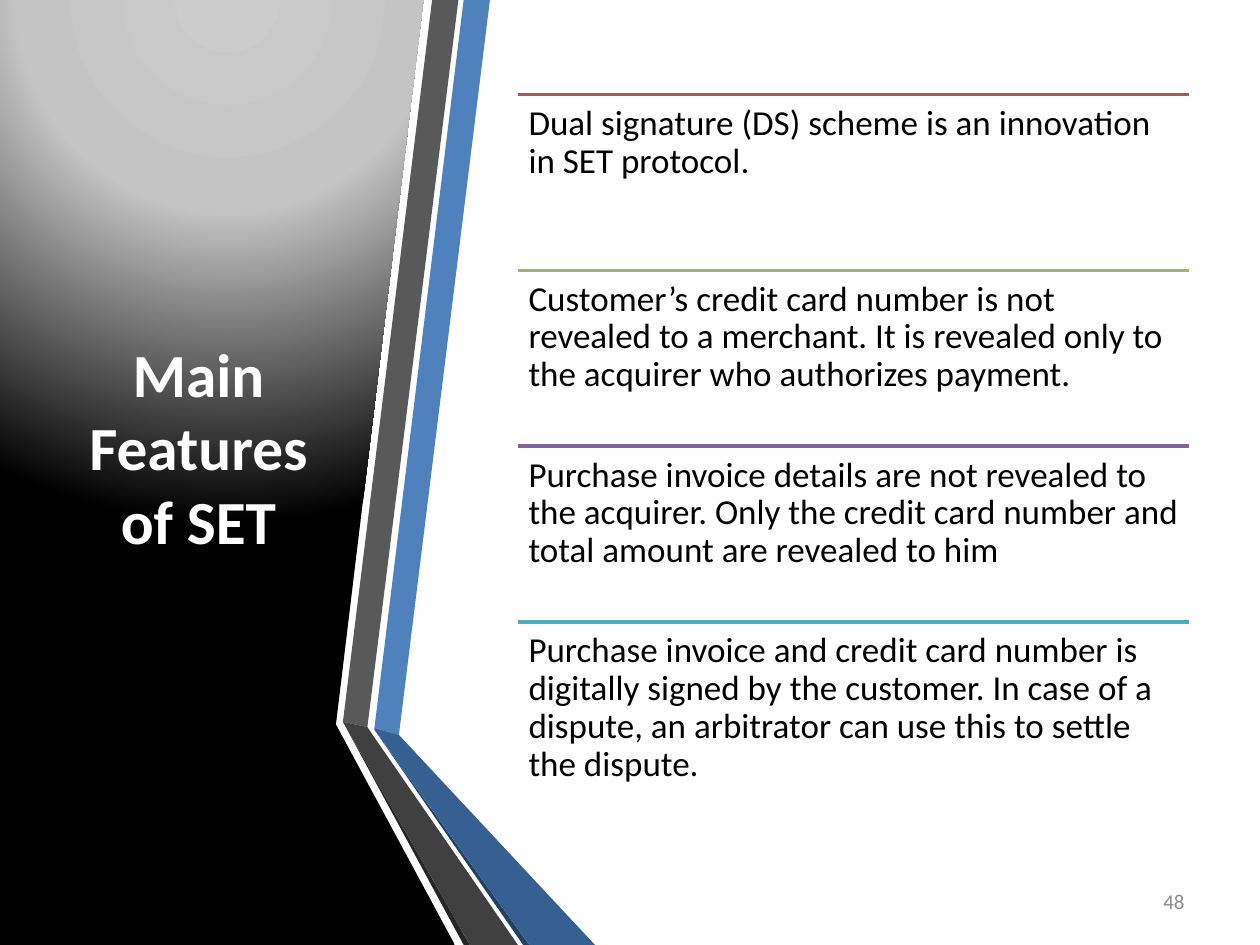
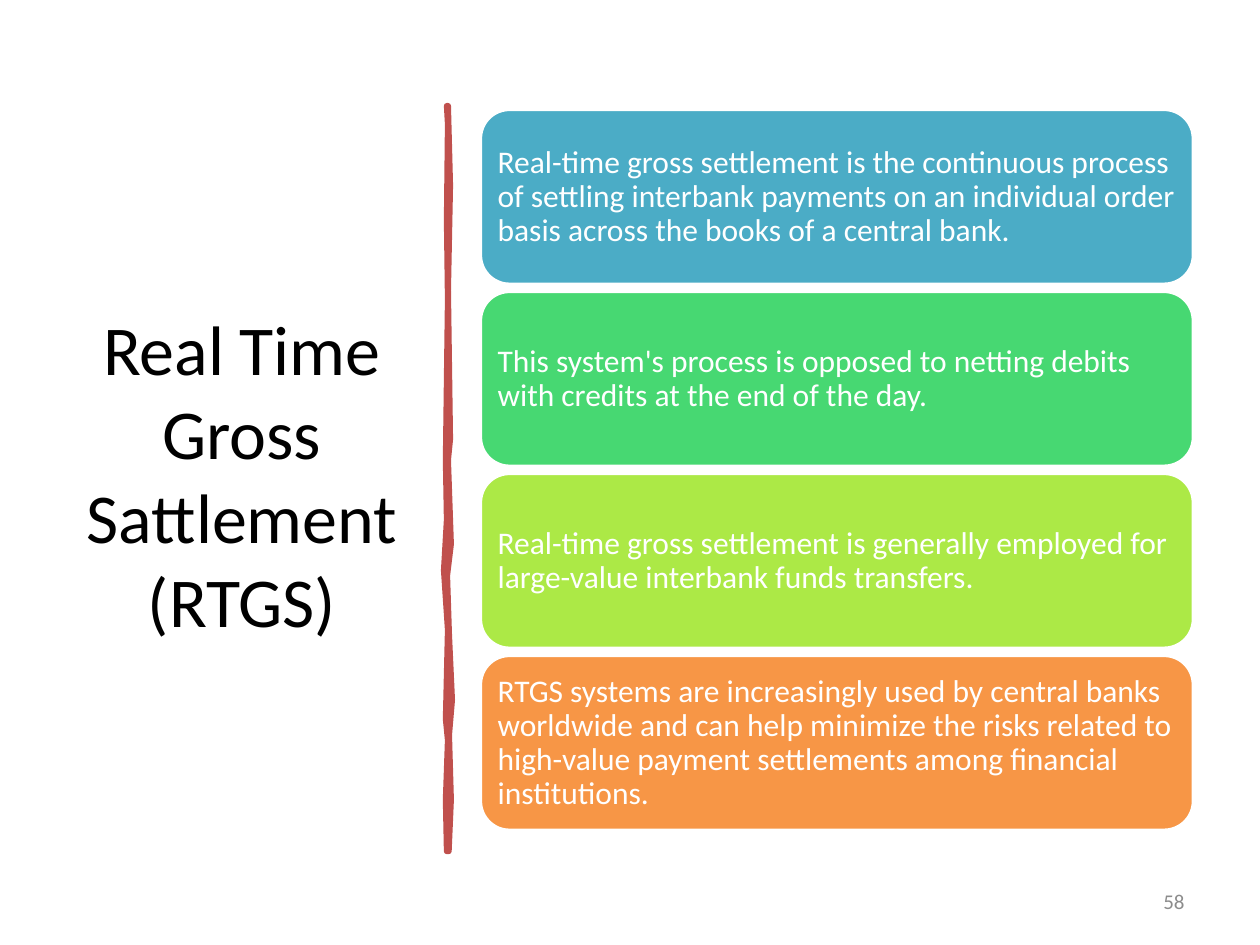
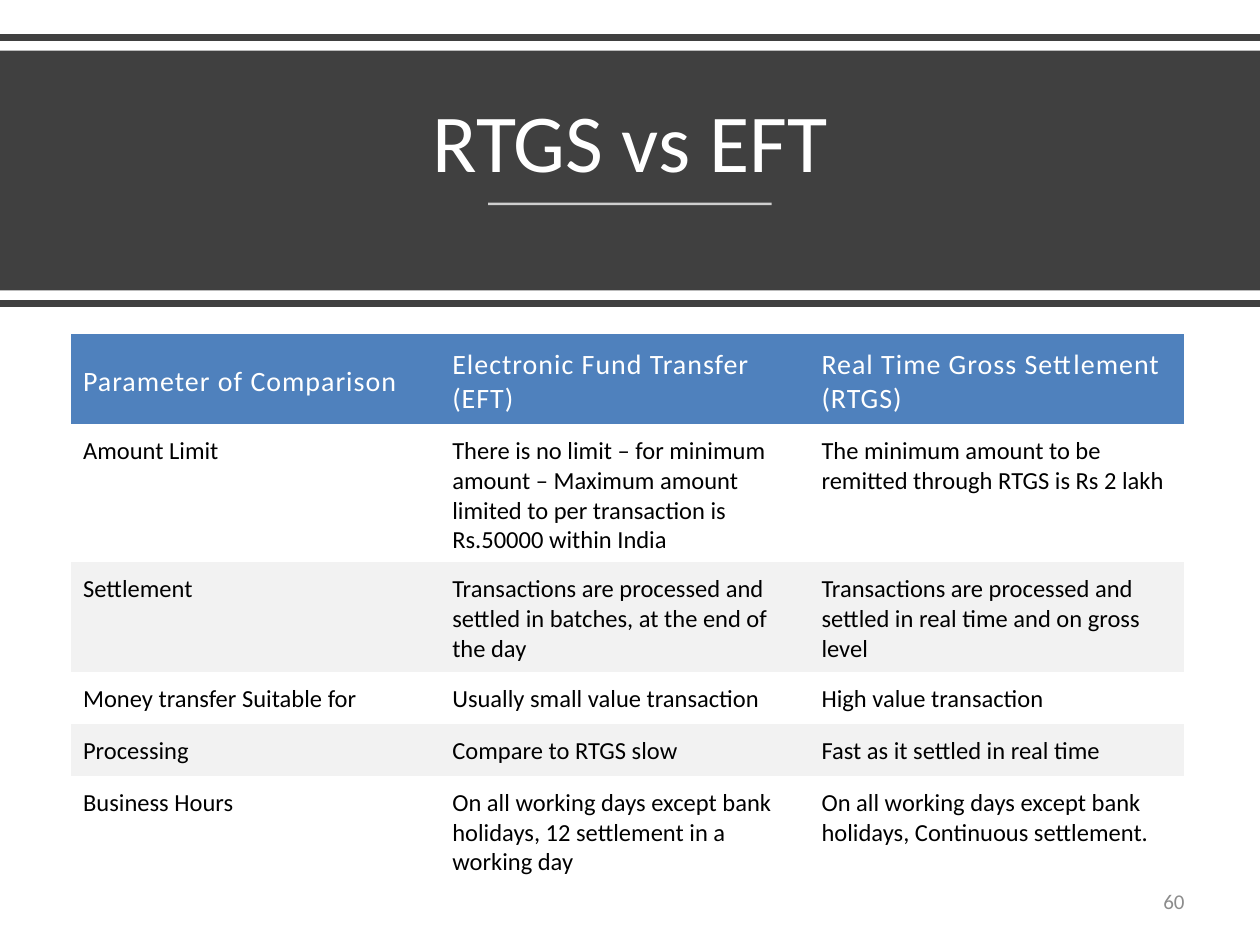
from dataclasses import dataclass

from lxml import etree
from pptx import Presentation
from pptx import util as u
from pptx.dml.color import RGBColor
from pptx.enum import shapes, text
from pptx.oxml import ns, parse_xml

# Content
SET_TITLE = "Main Features of SET"
SET_ROWS = [
    ("C0504D", "Dual signature (DS) scheme is an innovation in SET protocol."),
    ("9BBB59", "Customer’s credit card number is not revealed to a merchant. "
               "It is revealed only to the acquirer who authorizes payment."),
    ("8064A2", "Purchase invoice details are not revealed to the acquirer. "
               "Only the credit card number and total amount are revealed to him"),
    ("4BACC6", "Purchase invoice and credit card number is digitally signed by the "
               "customer. In case of a dispute, an arbitrator can use this to settle "
               "the dispute."),
]
RTGS_TITLE = "Real Time Gross Sattlement (RTGS)"
RTGS_CARDS = [
    ("4BACC6", "Real-time gross settlement is the continuous process of settling "
               "interbank payments on an individual order basis across the books of "
               "a central bank."),
    ("47D872", "This system's process is opposed to netting debits with credits at "
               "the end of the day."),
    ("ACE946", "Real-time gross settlement is generally employed for large-value "
               "interbank funds transfers."),
    ("F79646", "RTGS systems are increasingly used by central banks worldwide and "
               "can help minimize the risks related to high-value payment "
               "settlements among financial institutions."),
]
VS_TITLE = "RTGS vs EFT"
VS_ROWS = [
    ("Parameter of Comparison", "Electronic Fund Transfer (EFT)",
     "Real Time Gross Settlement (RTGS)"),
    ("Amount Limit",
     "There is no limit – for minimum amount – Maximum amount limited to per "
     "transaction is Rs.50000 within India",
     "The minimum amount to be remitted through RTGS is Rs 2 lakh"),
    ("Settlement",
     "Transactions are processed and settled in batches, at the end of the day",
     "Transactions are processed and settled in real time and on gross level"),
    ("Money transfer Suitable for", "Usually small value transaction",
     "High value transaction"),
    ("Processing", "Compare to RTGS slow", "Fast as it settled in real time"),
    ("Business Hours",
     "On all working days except bank holidays, 12 settlement in a working day",
     "On all working days except bank holidays, Continuous settlement."),
]
COLS = (211, 211, 214)
HEIGHTS = (51.3, 79, 62.5, 29.8, 29.8, 62.5)

# Outlines, in points
PANEL = [(190, 0), (242, 0), (192, 414), (260, 540), (0, 540), (0, 0)]
RIBBONS = [
    ("4F81BD", [(214, 416), (228, 420), (280, 0), (265, 0)]),
    ("595959", [(262, 0), (247, 0), (196, 412.5), (210, 415.5)]),
    ("262626", [(196, 412.5), (265, 540), (268.5, 540)]),
    ("254061", [(214, 417), (299, 540), (302.5, 540)]),
    ("376092", [(214, 417), (302.5, 540), (340, 540), (228, 420), (214, 416)]),
    ("404040", [(296, 540), (213, 420), (210, 415.5), (196, 412.5), (268.5, 540)]),
]
STROKE_RIGHT = [(256.1, 60.5), (257.3, 106), (256.1, 166), (257.3, 251), (256.1, 263),
                (257.8, 311), (255.6, 329), (256.7, 363), (258.4, 400), (256.7, 420),
                (257.8, 457), (256.5, 486.5)]
STROKE_LEFT = [(255.3, 60.5), (255.9, 71), (255.3, 126), (255.9, 171), (255.3, 217),
               (254.7, 263), (255.3, 297), (253.6, 326), (255.9, 360), (254.7, 411),
               (255.9, 423), (254.7, 457), (255.3, 486.5)]


@dataclass(frozen=True)
class Theme:
    font: str = "Calibri"
    ink: str = "000000"
    paper: str = "FFFFFF"
    dark: str = "404040"
    red: str = "C0504D"
    head: str = "4F81BD"
    band: str = "F2F2F2"
    mute: str = "8C8C8C"
    side: int = 35
    tall: int = 40
    wide: int = 47
    body: int = 20
    card: int = 18
    label: int = 16
    cell: int = 14
    foot: int = 12


T = Theme()
ALIGN = {"l": text.PP_ALIGN.LEFT, "c": text.PP_ALIGN.CENTER, "r": text.PP_ALIGN.RIGHT}
ANCHOR = {"t": text.MSO_ANCHOR.TOP, "m": text.MSO_ANCHOR.MIDDLE,
          "b": text.MSO_ANCHOR.BOTTOM}


def pts(*nums):
    return [u.Pt(n) for n in nums]


def rgb(hue):
    return RGBColor.from_string(hue)


# Text of any shape, box or cell
def write(host, words, size, hue=T.ink, bold=False, align="l", anchor="t",
          lead=None, pad=(7.2, 3.6, 7.2, 3.6), track=None):
    frame = host.text_frame
    frame.word_wrap = True
    # A table cell carries its own margins and anchor
    box = frame if hasattr(host, "shape_id") else host
    box.margin_left, box.margin_top, box.margin_right, box.margin_bottom = pts(*pad)
    box.vertical_anchor = ANCHOR[anchor]
    para = frame.paragraphs[0]
    para.alignment = ALIGN[align]
    if lead:
        para.line_spacing = lead
    run = para.add_run()
    run.text = words
    font = run.font
    font.name, font.size, font.bold = T.font, u.Pt(size), bold
    font.color.rgb = rgb(hue)
    if track:
        font._element.set("spc", str(track))


def label(slide, words, spot, size, **look):
    write(slide.shapes.add_textbox(*pts(*spot)), words, size, **look)


# Fill and outline of a shape
def paint(shape, fill, edge=None, width=0):
    shape.shadow.inherit = False
    shape.fill.solid()
    shape.fill.fore_color.rgb = rgb(fill)
    if edge:
        shape.line.color.rgb = rgb(edge)
        shape.line.width = u.Pt(width)
    else:
        shape.line.fill.background()
    return shape


def block(slide, kind, spot, fill, **edge):
    return paint(slide.shapes.add_shape(kind, *pts(*spot)), fill, **edge)


def outline(slide, dots, fill, **edge):
    first, *rest = [pts(*dot) for dot in dots]
    draft = slide.shapes.build_freeform(*first)
    draft.add_line_segments(rest, close=True)
    return paint(draft.convert_to_shape(), fill, **edge)


def rule(slide, left, right, y, hue, width, alpha=None):
    line = slide.shapes.add_connector(shapes.MSO_CONNECTOR.STRAIGHT,
                                      *pts(left, y, right, y))
    line.line.color.rgb = rgb(hue)
    line.line.width = u.Pt(width)
    props = line._element.spPr
    if alpha:
        tint = props.find(".//" + ns.qn("a:srgbClr"))
        etree.SubElement(tint, ns.qn("a:alpha")).set("val", str(alpha * 1000))
    etree.SubElement(props, ns.qn("a:effectLst"))


def glow(shape):
    stops = "".join(f'<a:gs pos="{at}000"><a:srgbClr val="{hue}"/></a:gs>'
                    for at, hue in ((0, "CCCCCC"), (40, "C4C4C4"), (100, T.ink)))
    grad = parse_xml(
        f'<a:gradFill {ns.nsdecls("a")} rotWithShape="1"><a:gsLst>{stops}</a:gsLst>'
        '<a:path path="circle"><a:fillToRect l="50000" t="-80000" r="50000" '
        'b="180000"/></a:path></a:gradFill>')
    props = shape._element.spPr
    props.replace(props.find(ns.qn("a:solidFill")), grad)


def start(deck):
    return deck.slides.add_slide(deck.slide_layouts[6])


def number(slide, num):
    label(slide, str(num), (516, 500.5, 168, 28.8), T.foot, hue=T.mute,
          align="r", anchor="m")


# Side panel with ruled statements
def features(deck):
    slide = start(deck)
    glow(outline(slide, PANEL, T.ink))
    for hue, dots in RIBBONS:
        outline(slide, dots, hue)
    label(slide, SET_TITLE, (31.5, 54, 164, 402), T.side, hue=T.paper, bold=True,
          align="c", anchor="m")
    left, top, width, step = 296, 54, 383.5, 100.5
    for i, (hue, words) in enumerate(SET_ROWS):
        y = top + i * step
        rule(slide, left, left + width, y, hue, 2)
        label(slide, words, (left, y, width, step), T.body, lead=0.9, pad=[6] * 4)
    number(slide, 48)


# Title, brush stroke and stacked cards
def cards(deck):
    slide = start(deck)
    label(slide, RTGS_TITLE, (37.5, 50.5, 201.5, 440), T.tall, align="c", anchor="m")
    outline(slide, STROKE_RIGHT + STROKE_LEFT[::-1], T.red, edge=T.red, width=3.25)
    top, high, gap = 62.5, 100, 4
    for i, (hue, words) in enumerate(RTGS_CARDS):
        card = block(slide, shapes.MSO_SHAPE.ROUNDED_RECTANGLE,
                     (274.5, top + i * (high + gap), 407.5, high), hue,
                     edge=T.paper, width=2)
        write(card, words, T.card, hue=T.paper, anchor="m", lead=0.9, pad=[5] * 4)
    number(slide, 58)


# Title band and comparison table
def versus(deck):
    slide = start(deck)
    for y in (21.5, 173.5):
        rule(slide, 0, 720, y, T.dark, 4)
    block(slide, shapes.MSO_SHAPE.RECTANGLE, (0, 29, 720, 137), T.dark)
    label(slide, VS_TITLE, (31, 39, 658, 73.5), T.wide, hue=T.paper, align="c",
          anchor="b", lead=0.9)
    rule(slide, 279, 441, 116.5, T.paper, 1.5, alpha=75)

    holder = slide.shapes.add_table(len(VS_ROWS), len(COLS),
                                    *pts(40.5, 191, sum(COLS), sum(HEIGHTS)))
    grid = holder.table
    grid.horz_banding = grid.first_row = False
    # Plain style without grid lines
    grid._tbl.tblPr.find(ns.qn("a:tableStyleId")).text = (
        "{2D5ABB26-0587-4C30-8999-92F81FD0307C}")
    for col, width in zip(grid.columns, COLS):
        col.width = u.Pt(width)
    for r, (row, high) in enumerate(zip(VS_ROWS, HEIGHTS)):
        grid.rows[r].height = u.Pt(high)
        fill = T.head if r == 0 else T.paper if r % 2 else T.band
        look = (dict(size=T.label, hue=T.paper, anchor="m", track=60) if r == 0
                else dict(size=T.cell))
        for c, words in enumerate(row):
            cell = grid.cell(r, c)
            cell.fill.solid()
            cell.fill.fore_color.rgb = rgb(fill)
            write(cell, words, pad=(7, 7, 7, 3.5), **look)
    number(slide, 60)


def main():
    deck = Presentation()
    deck.slide_width, deck.slide_height = pts(720, 540)
    for build in (features, cards, versus):
        build(deck)
    deck.save("out.pptx")


if __name__ == "__main__":
    main()
